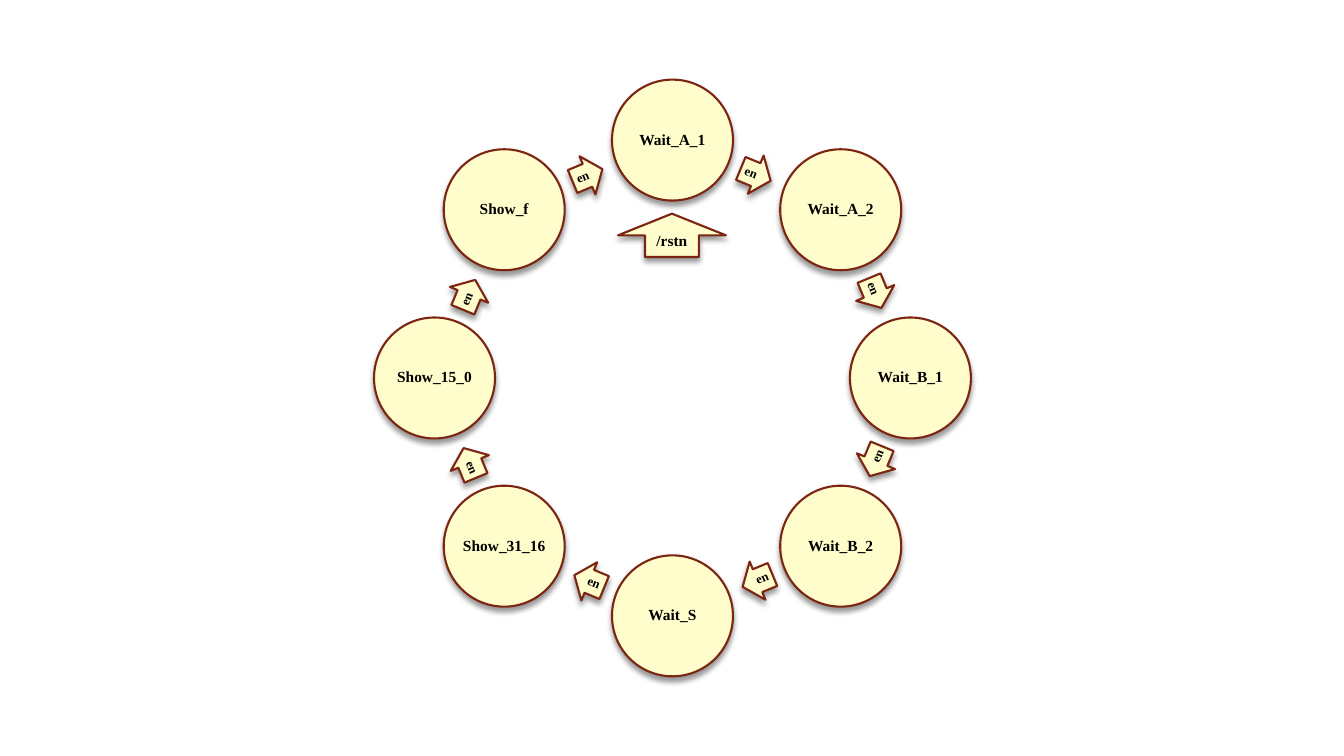
import math
from dataclasses import dataclass
from lxml import etree
from pptx import Presentation
from pptx.dml.color import RGBColor
from pptx.enum.shapes import MSO_SHAPE
from pptx.enum.text import MSO_ANCHOR, PP_ALIGN
from pptx.oxml.ns import qn
from pptx.util import Inches, Pt


@dataclass(frozen=True)
class Theme:
    fill: RGBColor = RGBColor(0xFE, 0xFD, 0xCB)
    line: RGBColor = RGBColor(0x7D, 0x25, 0x13)
    text: RGBColor = RGBColor(0, 0, 0)
    shadow: str = "000000"
    font: str = "Times New Roman"
    state_size: int = 11
    signal_size: int = 9
    line_width: float = 1.5


THEME = Theme()
STATES = ["Wait_A_1", "Wait_A_2", "Wait_B_1", "Wait_B_2",
          "Wait_S", "Show_31_16", "Show_15_0", "Show_f"]


def centred_box(x, y, width, height):
    return [Inches(v) for v in (x - width / 2, y - height / 2, width, height)]


def polar(x, y, radius, bearing):
    """Point at a clockwise bearing from the top, in degrees."""
    angle = math.radians(bearing)
    return x + radius * math.sin(angle), y - radius * math.cos(angle)


def add_shadow(shape):
    shape.shadow.inherit = False
    effects = shape._element.spPr.find(qn("a:effectLst"))
    shadow = etree.SubElement(effects, qn("a:outerShdw"), blurRad=str(Pt(4)),
                              dist=str(Pt(3)), dir="5400000", rotWithShape="0")
    color = etree.SubElement(shadow, qn("a:srgbClr"), val=THEME.shadow)
    etree.SubElement(color, qn("a:alpha"), val="40000")


def add_outlined(shapes, kind, box):
    shape = shapes.add_shape(kind, *box)
    shape.fill.solid()
    shape.fill.fore_color.rgb = THEME.fill
    shape.line.color.rgb = THEME.line
    shape.line.width = Pt(THEME.line_width)
    add_shadow(shape)
    return shape


def write(shape, text, size, spacing=0.9):
    frame = shape.text_frame
    frame.word_wrap = False  # every label stays on one line
    frame.vertical_anchor = MSO_ANCHOR.MIDDLE
    frame.margin_left = frame.margin_right = 0
    frame.margin_top = frame.margin_bottom = 0
    paragraph = frame.paragraphs[0]
    paragraph.alignment = PP_ALIGN.CENTER
    paragraph.line_spacing = spacing
    run = paragraph.add_run()
    run.text = text
    run.font.name = THEME.font
    run.font.size = Pt(size)
    run.font.bold = True
    run.font.color.rgb = THEME.text


def add_transition(shapes, x, y, direction, label):
    arrow = add_outlined(shapes, MSO_SHAPE.RIGHT_ARROW, centred_box(x, y, 0.32, 0.41))
    arrow.adjustments[0], arrow.adjustments[1] = 0.6, 0.5
    arrow.rotation = direction
    # The label sits on the shaft and is turned to stay upright
    label_x, label_y = polar(x, y, -0.05, direction + 90)
    text = shapes.add_textbox(*centred_box(label_x, label_y, 0.22, 0.24))
    text.rotation = (direction + 180) % 360 if 90 < direction < 270 else direction
    write(text, label, THEME.signal_size)


def add_state_cycle(slide, left, top, size):
    shapes = slide.shapes.add_group_shape().shapes
    x, y = left + size / 2, top + size / 2
    diameter = 1.2
    step = 360 / len(STATES)
    for i, state in enumerate(STATES):
        # State circle
        centre = polar(x, y, (size - diameter) / 2, i * step)
        circle = add_outlined(shapes, MSO_SHAPE.OVAL,
                              centred_box(*centre, diameter, diameter))
        write(circle, state, THEME.state_size)
        # Arrow to the next state
        direction = (i + 0.5) * step
        add_transition(shapes, *polar(x, y, 2.18, direction - 0.25), direction, "en")


def add_reset(slide, left, top, width, height):
    arrow = add_outlined(slide.shapes, MSO_SHAPE.UP_ARROW,
                         [Inches(v) for v in (left, top, width, height)])
    write(arrow, "/rstn", THEME.state_size, spacing=1.0)


prs = Presentation()
prs.slide_width, prs.slide_height = Inches(13.33), Inches(7.5)
slide = prs.slides.add_slide(prs.slide_layouts[6])

add_state_cycle(slide, 3.71, 0.79, 5.92)
add_reset(slide, 6.13, 2.12, 1.07, 0.43)

prs.save("out.pptx")
